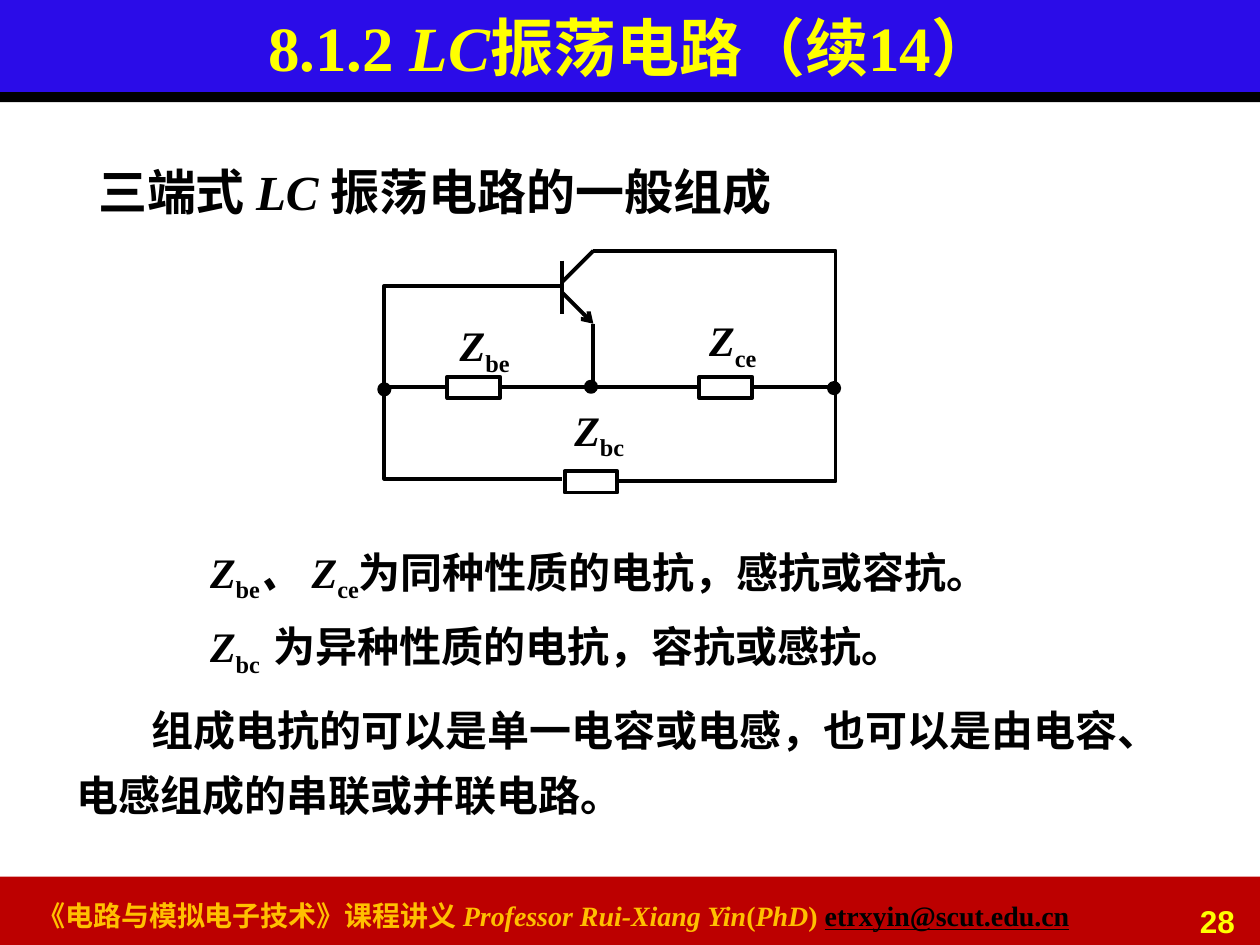
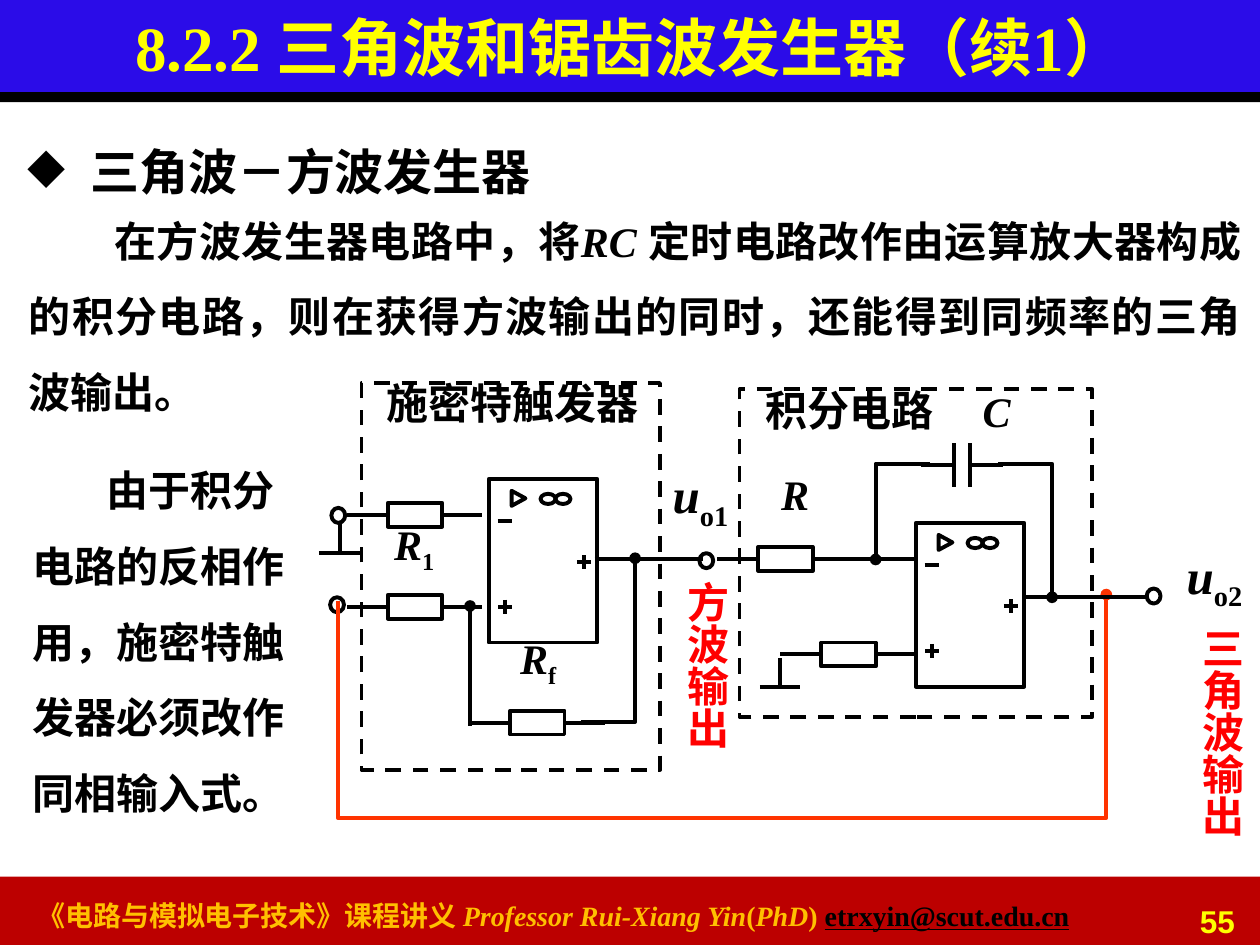
"""Builds two lecture slides on oscillator and waveform generator circuits."""
from dataclasses import dataclass

from lxml import etree
from pptx import Presentation
from pptx.dml.color import RGBColor
from pptx.enum.dml import MSO_LINE
from pptx.enum.shapes import MSO_CONNECTOR, MSO_SHAPE
from pptx.enum.text import MSO_ANCHOR, MSO_AUTO_SIZE, PP_ALIGN
from pptx.oxml.ns import qn
from pptx.util import Pt

RECTANGLE, OVAL, TRIANGLE = MSO_SHAPE.RECTANGLE, MSO_SHAPE.OVAL, MSO_SHAPE.ISOSCELES_TRIANGLE
STRAIGHT, DASH = MSO_CONNECTOR.STRAIGHT, MSO_LINE.DASH
TOP, MIDDLE, BOTTOM = MSO_ANCHOR.TOP, MSO_ANCHOR.MIDDLE, MSO_ANCHOR.BOTTOM
LEFT, CENTER, RIGHT, JUSTIFY = PP_ALIGN.LEFT, PP_ALIGN.CENTER, PP_ALIGN.RIGHT, PP_ALIGN.JUSTIFY
FIXED, GROW = MSO_AUTO_SIZE.NONE, MSO_AUTO_SIZE.SHAPE_TO_FIT_TEXT

BLACK, BLUE, CRIMSON, YELLOW = "000000", "2B0CE8", "BC0000", "FFFF00"
GOLD, RED, ORANGE = "FFC000", "FF0000", "FF3300"
SERIF, SANS = "Times New Roman", "Arial"
STROKE = 2.25

Point = tuple[float, float]
Area = tuple[float, float, float, float]


@dataclass(frozen=True)
class Span:
    """A stretch of text with its own look."""
    text: str
    italic: bool = False
    lowered: bool = False
    color: str = ""
    underline: bool = False


@dataclass(frozen=True)
class Style:
    """The look of all text in a box."""
    size: float = 24
    color: str = BLACK
    font: str = SERIF
    align: PP_ALIGN = LEFT
    anchor: MSO_ANCHOR = TOP
    fit: MSO_AUTO_SIZE = GROW
    wrap: bool = True
    spacing: float = 1.0
    margin: float = 0
    indent: float = 0
    bullet: str = ""
    bottom: float = 3.6
    vertical: bool = False


@dataclass(frozen=True)
class Wire:
    """A line through some points, with an optional end mark."""
    points: tuple[Point, ...]
    end: str = ""
    color: str = BLACK


@dataclass(frozen=True)
class Label:
    """A short text beside a part of a circuit."""
    area: Area
    spans: tuple[Span, ...]
    style: Style = Style(wrap=False)


def rgb(value: str) -> RGBColor:
    """Turn a hex string into a colour."""
    return RGBColor.from_string(value)


def place(shape, area: Area) -> None:
    """Put a shape at left, top, width and height."""
    for name, value in zip(("left", "top", "width", "height"), area):
        setattr(shape, name, Pt(value))


def write(box, paragraphs: list[tuple[Span, ...]], style: Style) -> None:
    """Fill a text shape with formatted paragraphs."""
    frame = box.text_frame
    settings = {"word_wrap": style.wrap, "auto_size": style.fit,
                "vertical_anchor": style.anchor, "margin_bottom": Pt(style.bottom)}
    for name, value in settings.items():
        setattr(frame, name, value)
    if style.vertical:
        frame._txBody.bodyPr.set("vert", "eaVert")
    for index, spans in enumerate(paragraphs):
        para = frame.add_paragraph() if index else frame.paragraphs[0]
        para.alignment, para.line_spacing = style.align, style.spacing
        properties = para._p.get_or_add_pPr()
        properties.set("marL", str(Pt(style.margin)))
        properties.set("indent", str(Pt(style.indent)))
        if style.bullet:
            etree.SubElement(properties, qn("a:buChar")).set("char", style.bullet)
        for item in spans:
            span = para.add_run()
            span.text = item.text
            look = {"name": style.font, "size": Pt(style.size), "bold": True,
                    "italic": item.italic, "underline": item.underline}
            for name, value in look.items():
                setattr(span.font, name, value)
            span.font.color.rgb = rgb(item.color or style.color)
            if item.lowered:
                span._r.get_or_add_rPr().set("baseline", "-25000")


def add_text(page, area: Area, paragraphs: list[tuple[Span, ...]], style: Style) -> None:
    """Add a text box."""
    write(page.shapes.add_textbox(*map(Pt, area)), paragraphs, style)


def add_labels(page, labels: list[Label]) -> None:
    """Add the labels of a circuit."""
    for label in labels:
        add_text(page, label.area, [label.spans], label.style)


def symbol(letter: str, index: str) -> tuple[Span, ...]:
    """Give an italic letter with a lowered index."""
    return Span(letter, italic=True), Span(index, lowered=True)


def add_band(page, area: Area, color: str) -> None:
    """Add a plain filled band."""
    band = page.shapes.add_shape(RECTANGLE, *map(Pt, area))
    band.fill.solid()
    band.fill.fore_color.rgb = rgb(color)
    band.line.fill.background()
    band.shadow.inherit = False


def add_outline(page, kind: MSO_SHAPE, area: Area, fill: str = "", dashed: bool = False,
                rotation: float = 0) -> None:
    """Add a black outlined shape."""
    shape = page.shapes.add_shape(kind, *map(Pt, area))
    if fill:
        shape.fill.solid()
        shape.fill.fore_color.rgb = rgb(fill)
    else:
        shape.fill.background()
    shape.line.color.rgb, shape.line.width = rgb(BLACK), Pt(STROKE)
    if dashed:
        shape.line.dash_style = DASH
    shape.rotation = rotation
    shape.shadow.inherit = False


def add_centered(page, kind: MSO_SHAPE, center: Point, size: Point, fill: str = "") -> None:
    """Add an outlined shape around a centre."""
    (x, y), (width, height) = center, size
    add_outline(page, kind, (x - width / 2, y - height / 2, width, height), fill)


def add_wire(page, wire: Wire) -> None:
    """Add a connector for two points or an open path for more."""
    points = [(Pt(x), Pt(y)) for x, y in wire.points]
    if len(points) == 2:
        shape = page.shapes.add_connector(STRAIGHT, *points[0], *points[1])
    else:
        builder = page.shapes.build_freeform(*points[0], scale=1.0)
        builder.add_line_segments(points[1:], close=False)
        shape = builder.convert_to_shape()
        shape.fill.background()
    shape.line.color.rgb, shape.line.width = rgb(wire.color), Pt(STROKE)
    if wire.end:
        etree.SubElement(shape.line._get_or_add_ln(), qn("a:tailEnd")).set("type", wire.end)
    etree.SubElement(shape._element.spPr, qn("a:effectLst"))


def add_wires(page, wires: list[Wire]) -> None:
    """Add several wires."""
    for wire in wires:
        add_wire(page, wire)


def add_resistor(page, center: Point) -> None:
    """Add a resistor with a lead on each side."""
    x, y = center
    add_centered(page, RECTANGLE, center, (31, 13.7))
    add_wires(page, [Wire(((x - 39, y), (x - 15.5, y))), Wire(((x + 15.5, y), (x + 38.5, y)))])


def add_amplifier(page, left: float, top: float) -> None:
    """Add an operational amplifier with its signs."""
    add_outline(page, RECTANGLE, (left, top, 61.9, 93.6))
    add_wire(page, Wire(((left + 5, top + 24), (left + 13, top + 24))))
    for x, y in ((left + 9.4, top + 73.1), (left + 54.2, top + 47.7)):
        add_wires(page, [Wire(((x - 4, y), (x + 4, y))), Wire(((x, y - 4), (x, y + 4)))])
    add_outline(page, TRIANGLE, (left + 12.6, top + 7.2, 8.6, 7.9), rotation=90)
    for offset in (29.5, 38):
        add_outline(page, OVAL, (left + offset, top + 8.6, 8.6, 5.8))


def add_page(deck, title: tuple[Span, ...], number: str):
    """Add a slide with the shared bands, title and footer."""
    page = deck.slides.add_slide(deck.slide_layouts.get_by_name("Title Only"))
    for area, color in (((-1.5, 501, 723, 40.3), CRIMSON), ((-1.5, 0, 723, 54.7), BLUE),
                        ((-0.7, 52.6, 721.4, 5.8), BLACK)):
        add_band(page, area, color)
    heading = page.shapes.title
    page.shapes._spTree.append(heading._element)
    place(heading, (0, 0, 721.4, 52.6))
    write(heading, [title], Style(36, YELLOW, align=CENTER, anchor=MIDDLE, fit=FIXED))
    footer = (Span("《电路与模拟电子技术》课程讲义 "), Span("Professor Rui-Xiang Yin", italic=True),
              Span("("), Span("PhD", italic=True), Span(") "),
              Span("etrxyin@scut.edu.cn", color=BLACK, underline=True))
    add_text(page, (14.4, 509.8, 635, 26.6), [footer], Style(16, GOLD))
    add_text(page, (645.1, 511.9, 67.7, 22.3), [(Span(number),)],
             Style(18, YELLOW, SANS, RIGHT, fit=FIXED))
    return page


def build_three_point_page(deck) -> None:
    """Build the slide on three-point LC oscillators."""
    page = add_page(deck, (Span("8.1.2 "), Span("LC", italic=True), Span("振荡电路（续14）")), "28")
    add_text(page, (49, 85, 612, 48.2),
             [(Span("三端式 "), Span("LC ", italic=True), Span("振荡电路的一般组成"))],
             Style(28, anchor=MIDDLE, fit=FIXED))
    for center in ((270.7, 221.4), (414.7, 221.4), (337.7, 275.4)):
        add_centered(page, RECTANGLE, center, (30.2, 12.2))
    add_wires(page, [
        Wire(((321.1, 149), (321.1, 179.3))),
        Wire(((321.1, 161.3), (339.1, 143.3))),
        Wire(((321.1, 167), (339.1, 185)), "arrow"),
        Wire(((321.1, 163.4), (297.4, 163.4))),
        Wire(((339.1, 143.3), (477.4, 143.3), (477.4, 275), (351.4, 275))),
        Wire(((303.1, 163.4), (219.6, 163.4), (219.6, 273.6), (321.1, 273.6))),
        Wire(((255.6, 221), (219.6, 221))),
        Wire(((285.1, 221), (399.6, 221))),
        Wire(((429.1, 221), (477.4, 221))),
        Wire(((339.1, 185), (339.1, 221))),
    ])
    for center in ((337.7, 221), (219.6, 222.5), (476.6, 221.8)):
        add_centered(page, OVAL, center, (5.8, 5.8), BLACK)
    add_labels(page, [
        Label((398.2, 176.4, 43.2, 36), symbol("Z", "ce")),
        Label((255.6, 179.3, 45.4, 36), symbol("Z", "be")),
        Label((321.1, 227.5, 45.4, 36), symbol("Z", "bc")),
    ])
    same = (*symbol("Z", "be"), Span("、 ", italic=True), *symbol("Z", "ce"),
            Span("为同种性质的电抗，感抗或容抗。"))
    other = (*symbol("Z", "bc\t"), Span("为异种性质的电抗，容抗或感抗。"))
    add_text(page, (113, 298.8, 528.5, 82.1), [same, other], Style(spacing=1.3))
    add_text(page, (36.7, 390.2, 645.8, 82.1),
             [(Span("组成电抗的可以是单一电容或电感，也可以是由电容、电感组成的串联或并联电路。"),)],
             Style(spacing=1.3, indent=43))


def build_generator_page(deck) -> None:
    """Build the slide on the triangle and square wave generator."""
    page = add_page(deck, (Span("8.2.2 三角波和锯齿波发生器（续1）"),), "55")
    add_text(page, (8.6, 60.5, 700, 50), [(Span("三角波－方波发生器"),)],
             Style(28, spacing=1.5, margin=36, indent=-36, bullet="◆"))
    add_text(page, (9.4, 105.1, 707, 138.2), [(
        Span("在方波发生器电路中，将"), Span("RC ", italic=True),
        Span("定时电路改作由运算放大器构成的积分电路，则在获得方波输出的同时，还能得到同频率的三角波输出。"))],
        Style(align=JUSTIFY, spacing=1.5, indent=49))
    for center in ((237.2, 294.1), (237.2, 346.7), (307.1, 412.9), (448.9, 319.3), (484.9, 374)):
        add_resistor(page, center)
    for center in ((193.3, 294.5), (192.6, 345.6), (403.6, 320.4), (659.2, 340.6)):
        add_centered(page, OVAL, center, (7.9, 8.6))
    for corner in ((279.4, 273.6), (523.4, 298.8)):
        add_amplifier(page, *corner)
    for area in ((206.6, 218.9, 170.6, 221), (422.6, 222.5, 201.6, 187.2)):
        add_outline(page, RECTANGLE, area, dashed=True)
    add_wires(page, [
        Wire(((339.8, 319.7), (401.8, 319.7))),
        Wire(((268.6, 414.7), (268.6, 346.3)), "oval"),
        Wire(((331.9, 412.6), (362.9, 412.6), (362.9, 319)), "oval"),
        Wire(((545, 253.4), (545, 278.2))),
        Wire(((554.4, 253.4), (554.4, 278.2))),
        Wire(((526.3, 265.7), (545, 265.7))),
        Wire(((554.4, 265.7), (573.1, 265.7))),
        Wire(((182.2, 316.1), (205.9, 316.1))),
        Wire(((194.4, 316.1), (194.4, 298.8))),
        Wire(((434.2, 392.4), (457.2, 392.4))),
        Wire(((445.7, 392.4), (445.7, 375.8))),
        Wire(((193, 343.4), (193, 467.3), (632.2, 467.3), (632.2, 339.8)), "oval", ORANGE),
        Wire(((531.4, 265), (500.4, 265), (500.4, 319.7)), "oval"),
        Wire(((570.2, 265), (601.2, 265), (601.2, 341.3)), "oval"),
        Wire(((477.4, 319.7), (523.4, 319.7))),
        Wire(((585.4, 341.3), (655.2, 341.3))),
    ])
    large = Style(28, wrap=False)
    upright = Style(color=RED, wrap=False, vertical=True)
    add_labels(page, [
        Label((377.3, 262.1, 49, 41), symbol("u", "o1"), large),
        Label((671, 308.2, 49, 41), symbol("u", "o2"), large),
        Label((290.2, 357.8, 36, 36), symbol("R", "f")),
        Label((218.2, 296.6, 38.9, 32.4), symbol("R", "1"),
              Style(wrap=False, anchor=BOTTOM, bottom=0)),
        Label((213.8, 212.4, 159.1, 36), (Span("施密特触发器"),)),
        Label((430.6, 216, 110.9, 36), (Span("积分电路"),)),
        Label((554.4, 216.7, 30.2, 36), (Span("C", italic=True),)),
        Label((439.2, 264.2, 30.2, 36), (Span("R", italic=True),)),
        Label((378.7, 325.4, 43.2, 101.5), (Span("方波输出"),), upright),
        Label((673.2, 351.4, 43.2, 125.3), (Span("三角波输出"),), upright),
    ])
    add_text(page, (11.5, 247.7, 171.4, 225.4),
             [(Span("由于积分电路的反相作用，施密特触发器必须改作同相输入式。"),)],
             Style(spacing=1.5, indent=42.5))


def main() -> None:
    """Build and save the deck."""
    deck = Presentation()
    deck.slide_width, deck.slide_height = Pt(720), Pt(540)
    build_three_point_page(deck)
    build_generator_page(deck)
    deck.save("out.pptx")


if __name__ == "__main__":
    main()
